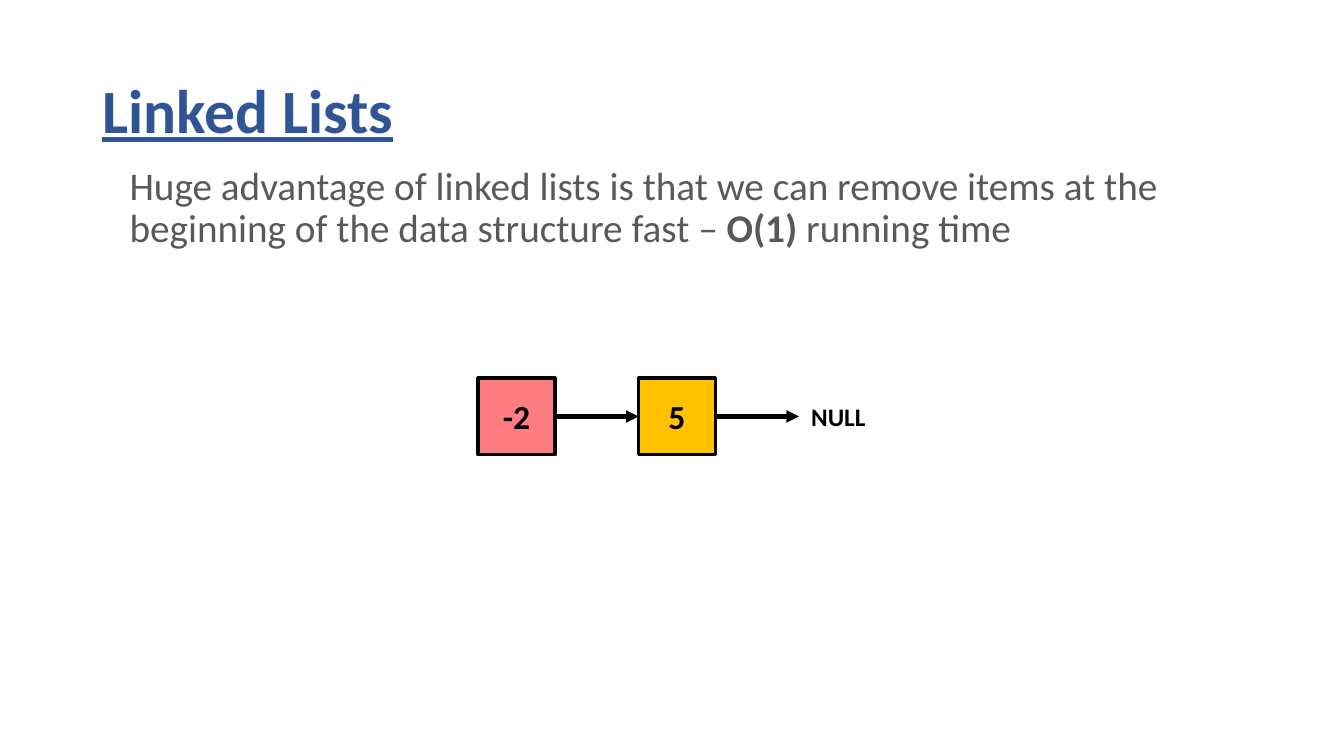
from lxml import etree
from pptx import Presentation
from pptx.dml.color import RGBColor
from pptx.enum.shapes import MSO_CONNECTOR, MSO_SHAPE
from pptx.enum.text import MSO_ANCHOR, PP_ALIGN
from pptx.oxml.ns import qn
from pptx.util import Pt

RECT = MSO_SHAPE.RECTANGLE
STRAIGHT = MSO_CONNECTOR.STRAIGHT
TOP, MIDDLE = MSO_ANCHOR.TOP, MSO_ANCHOR.MIDDLE
LEFT, CENTER = PP_ALIGN.LEFT, PP_ALIGN.CENTER

FONT = "Calibri"
COLORS = {"title": "2F5597", "body": "595959", "ink": "000000",
          "head": "FF7C80", "node": "FFC000"}

TITLE = [("Linked Lists", True)]
BODY = [
    ("Huge advantage of linked lists is that we can remove items at the "
     "beginning of the data structure fast – ", False),
    ("O(1)", True),
    (" running time", False),
]
NODES = [("-2", "head"), ("5", "node")]
END_LABEL = [("NULL", True)]

NODE_LEFT, NODE_TOP, NODE_SIZE, NODE_STEP = 341.5, 270, 55, 114.5
ARROW_LENGTH = 59.75


def rgb(name):
    return RGBColor.from_string(COLORS[name])


def write(sp, parts, size, color, align=LEFT, anchor=TOP, spacing=1.0,
          underline=False, wrap=True):
    tf = sp.text_frame
    tf.word_wrap = wrap
    tf.vertical_anchor = anchor
    p = tf.paragraphs[0]
    p.alignment = align
    p.line_spacing = spacing
    for text, bold in parts:
        r = p.add_run()
        r.text = text
        r.font.name = FONT
        r.font.size = Pt(size)
        r.font.bold = bold
        r.font.underline = underline
        r.font.color.rgb = rgb(color)


def add_text(s, box, parts, size, color, **style):
    sp = s.shapes.add_textbox(*map(Pt, box))
    write(sp, parts, size, color, **style)


def add_node(s, x, text, fill):
    sp = s.shapes.add_shape(RECT, Pt(x), Pt(NODE_TOP), Pt(NODE_SIZE), Pt(NODE_SIZE))
    sp.shadow.inherit = False
    sp.fill.solid()
    sp.fill.fore_color.rgb = rgb(fill)
    sp.line.color.rgb = rgb("ink")
    sp.line.width = Pt(2.25)
    write(sp, [(text, True)], 24, "ink", align=CENTER, anchor=MIDDLE)


def add_arrow(s, x):
    y = NODE_TOP + NODE_SIZE / 2
    cx = s.shapes.add_connector(STRAIGHT, Pt(x), Pt(y), Pt(x + ARROW_LENGTH), Pt(y))
    cx.line.color.rgb = rgb("ink")
    cx.line.width = Pt(3)
    etree.SubElement(cx.line._get_or_add_ln(), qn("a:tailEnd"), type="triangle")
    etree.SubElement(cx._element.spPr, qn("a:effectLst"))


def main():
    prs = Presentation()
    prs.slide_width, prs.slide_height = Pt(960), Pt(540)
    s = prs.slides.add_slide(prs.slide_layouts[6])

    add_text(s, (66, 28.75, 828, 104.4), TITLE, 44, "title",
             anchor=MIDDLE, spacing=0.9, underline=True)
    add_text(s, (85.5, 115.2, 828, 85), BODY, 28, "body", spacing=0.9)

    for i, (text, fill) in enumerate(NODES):
        x = NODE_LEFT + i * NODE_STEP
        add_node(s, x, text, fill)
        add_arrow(s, x + NODE_SIZE)
    add_text(s, (572.4, 283, 53.3, 29), END_LABEL, 18, "ink", wrap=False)

    prs.save("out.pptx")


if __name__ == "__main__":
    main()
